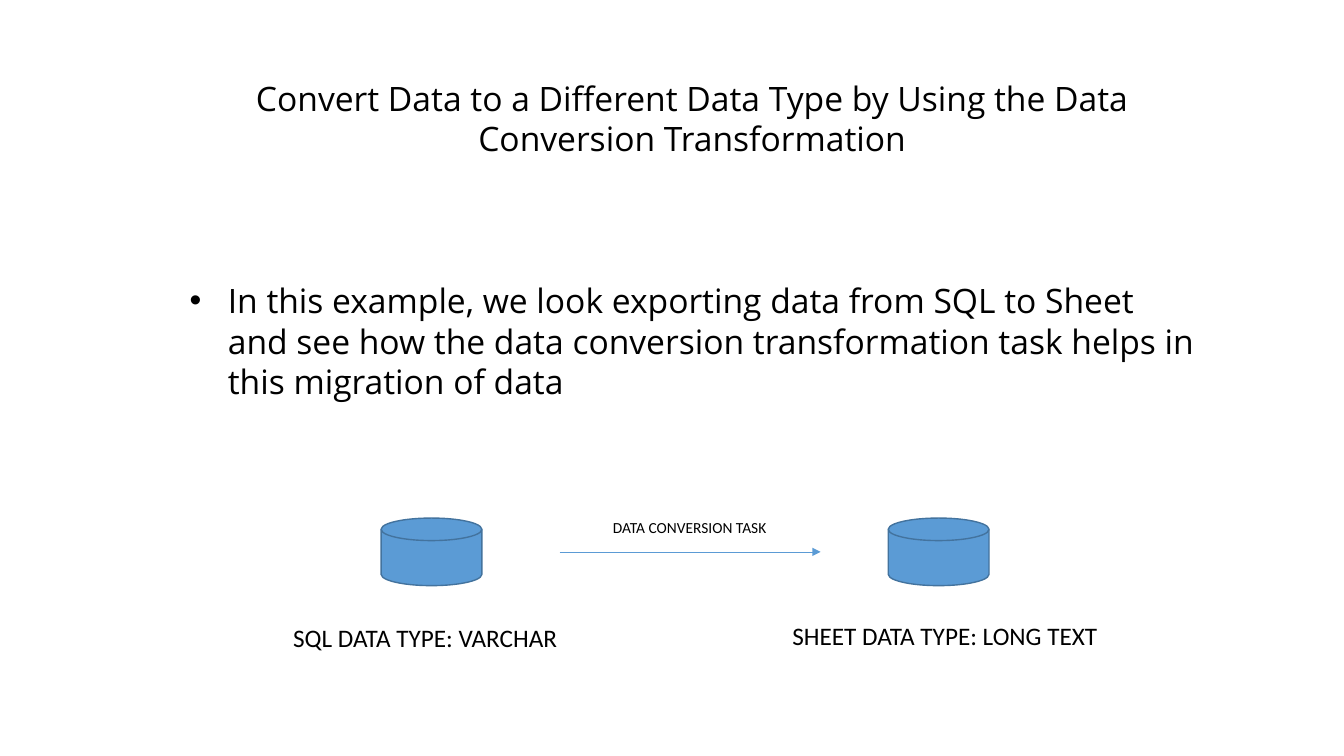
from pptx import Presentation
from pptx.dml.color import RGBColor
from pptx.enum.shapes import MSO_CONNECTOR as Connector, MSO_SHAPE as Shape
from pptx.enum.text import MSO_ANCHOR as Anchor, MSO_AUTO_SIZE as AutoSize, PP_ALIGN as Align
from pptx.oxml.ns import qn
from pptx.util import Inches, Pt
from lxml.etree import SubElement

COLORS = {"text": "000000", "store": "5B9BD5", "edge": "43739E"}
HEADING = "Convert Data to a Different Data Type by Using the Data Conversion Transformation"
EXAMPLE = ("In this example, we look exporting data from SQL to Sheet and see how "
           "the data conversion transformation task helps in this migration of data")
LABELS = [
    ("SQL DATA TYPE: VARCHAR", (2.81, 6.12, 3.27, 0.4), 18),
    ("SHEET DATA TYPE: LONG TEXT", (7.76, 6.1, 3.31, 0.4), 18),
    ("DATA CONVERSION TASK", (5.98, 5.09, 1.77, 0.29), 11),
]
STORE_LEFTS = (3.78, 8.81)
STORE_TOP, STORE_WIDTH, STORE_HEIGHT = 5.14, 1, 0.67
ARROW_START, ARROW_END = 5.55, 8.14
ARROW_Y = STORE_TOP + STORE_HEIGHT / 2
TEXT_LEFT, TEXT_WIDTH = 1.78, 10.17
BULLET_INDENT = Inches(0.38)


def color(name):
    return RGBColor.from_string(COLORS[name])


def write(holder, text, font_name, size):
    frame = holder.text_frame
    frame.text = text
    frame.word_wrap = True
    frame.auto_size = AutoSize.NONE
    frame.vertical_anchor = Anchor.TOP
    paragraph = frame.paragraphs[0]
    paragraph.font.name = font_name
    paragraph.font.size = Pt(size)
    paragraph.font.color.rgb = color("text")
    return paragraph


def fill_placeholder(holder, text, top, height, align):
    holder.left, holder.top = Inches(TEXT_LEFT), Inches(top)
    holder.width, holder.height = Inches(TEXT_WIDTH), Inches(height)
    paragraph = write(holder, text, "Open Sans", 24)
    paragraph.alignment = align
    paragraph.space_before = Pt(0)
    paragraph.line_spacing = Pt(28.8)
    return paragraph


deck = Presentation()
deck.slide_width, deck.slide_height = Inches(13.33), Inches(7.5)
slide = deck.slides.add_slide(deck.slide_layouts[1])
shapes = slide.shapes

fill_placeholder(shapes.title, HEADING, 0.72, 0.9, Align.CENTER)
example = fill_placeholder(slide.placeholders[1], EXAMPLE, 2.73, 1.63, Align.LEFT)
bullet = example._p.get_or_add_pPr()
bullet.set("marL", str(BULLET_INDENT))
bullet.set("indent", str(-BULLET_INDENT))
SubElement(bullet, qn("a:buFont")).set("typeface", "Arial")
SubElement(bullet, qn("a:buChar")).set("char", "•")

for left in STORE_LEFTS:
    store = shapes.add_shape(Shape.FLOWCHART_MAGNETIC_DISK, Inches(left), Inches(STORE_TOP),
                             Inches(STORE_WIDTH), Inches(STORE_HEIGHT))
    store.shadow.inherit = False
    store.fill.solid()
    store.fill.fore_color.rgb = color("store")
    store.line.color.rgb = color("edge")
    store.line.width = Pt(1)

arrow = shapes.add_connector(Connector.STRAIGHT, Inches(ARROW_START), Inches(ARROW_Y),
                             Inches(ARROW_END), Inches(ARROW_Y))
arrow.line.color.rgb = color("store")
arrow.line.width = Pt(0.5)
SubElement(arrow.line._get_or_add_ln(), qn("a:tailEnd")).set("type", "triangle")
SubElement(arrow._element.spPr, qn("a:effectLst"))

for text, box, size in LABELS:
    label = shapes.add_textbox(*map(Inches, box))
    write(label, text, "Calibri", size)

deck.save("out.pptx")
